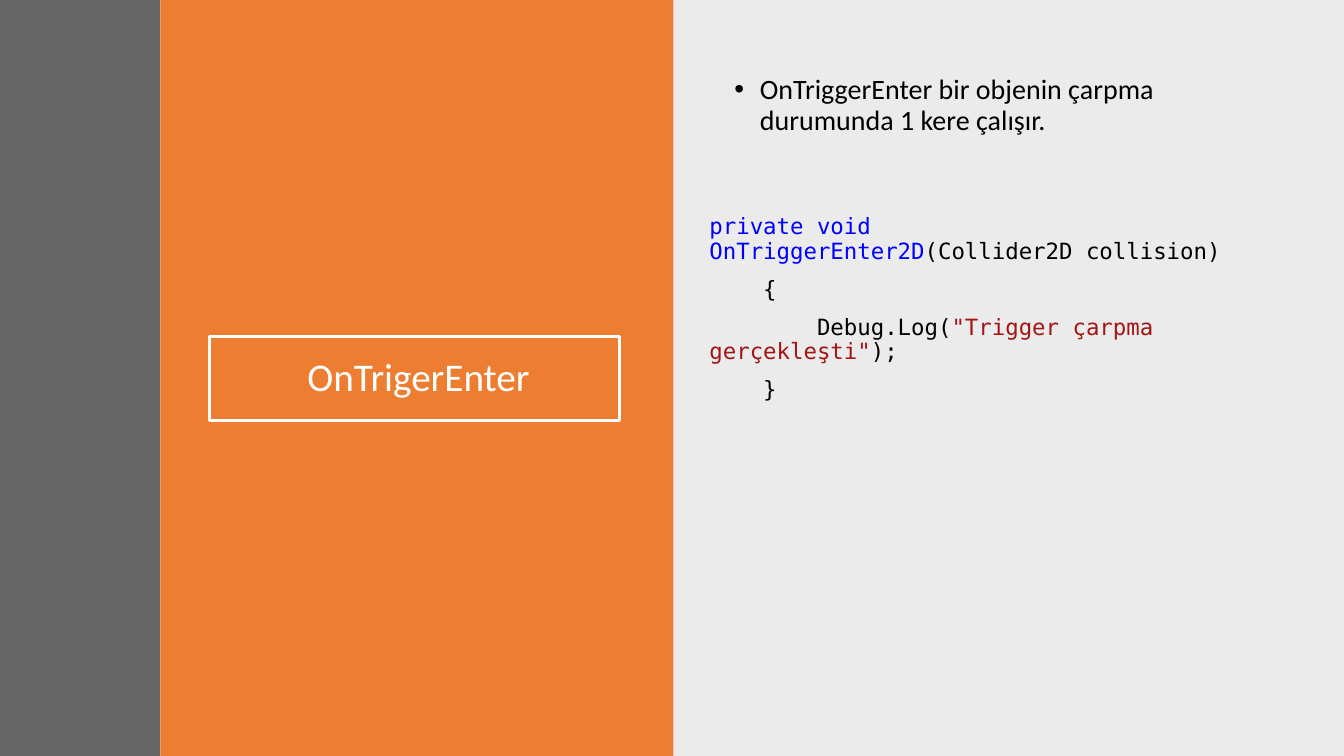
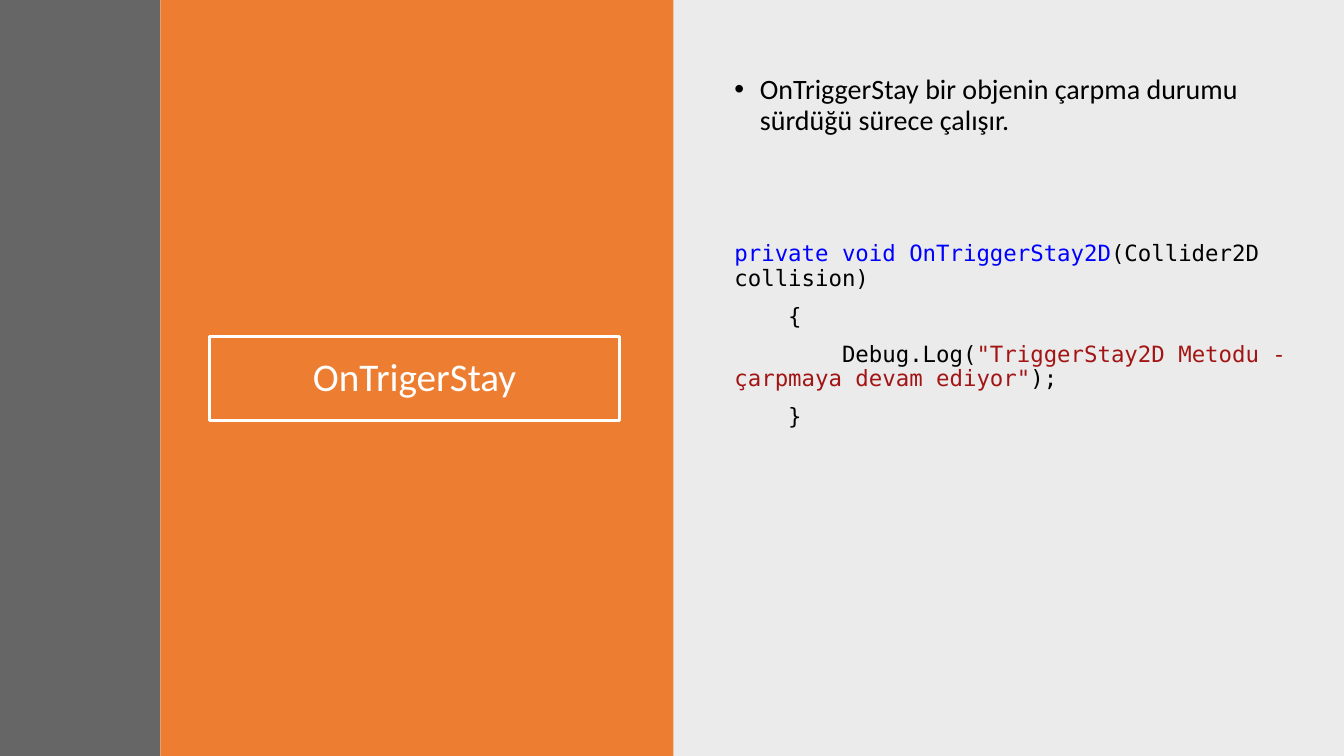
from lxml.etree import SubElement
from pptx import Presentation
from pptx.dml.color import RGBColor
from pptx.enum.shapes import MSO_SHAPE
from pptx.enum.text import MSO_ANCHOR, MSO_AUTO_SIZE, PP_ALIGN
from pptx.oxml.ns import qn
from pptx.util import Cm, Pt

WIDE, HIGH = 33.87, 19.05
HALF = 16.93
SIDE = 4.04
INK = {
    "white": "FFFFFF", "black": "000000", "orange": "ED7D31",
    "gray": "404040", "blue": "0000FF", "red": "A31515",
}
SANS, MONO = "Calibri", "DejaVu Sans Mono"

# Wording and code box (left, top, width, height in cm) of each slide
PAGES = [
    {
        "title": "OnTrigerEnter", "pad": 0.45,
        "note": "OnTriggerEnter bir objenin çarpma durumunda 1 kere çalışır.",
        "name": "OnTriggerEnter2D", "log": "Trigger çarpma gerçekleşti",
        "box": (17.63, 5.31, 14.05, 7.09),
    },
    {
        "title": "OnTrigerStay", "pad": 0.25,
        "note": "OnTriggerStay bir objenin çarpma durumu sürdüğü sürece çalışır.",
        "name": "OnTriggerStay2D", "log": "TriggerStay2D Metodu - çarpmaya devam ediyor",
        "box": (18.26, 5.99, 14.91, 12.12),
    },
]


def tint(name):
    return RGBColor.from_string(INK[name])


def bullet(para):
    props = para._p.get_or_add_pPr()
    props.set("marL", str(Cm(0.64)))
    props.set("indent", str(-Cm(0.64)))
    SubElement(props, qn("a:buFont"), typeface="Arial")
    SubElement(props, qn("a:buChar"), char="•")


def write(frame, lines, size=20, font=SANS, align=PP_ALIGN.LEFT, dot=False):
    """Fill a frame; each line is a list of (text, colour) runs."""
    frame.word_wrap = True
    frame.auto_size = MSO_AUTO_SIZE.NONE
    for i, line in enumerate(lines):
        para = frame.add_paragraph() if i else frame.paragraphs[0]
        para.alignment = align
        para.line_spacing = 0.9
        para.space_before = Pt(10 if i else 0)
        if dot:
            bullet(para)
        for text, color in line:
            run = para.add_run()
            run.text = text
            run.font.size = Pt(size)
            run.font.name = font
            run.font.color.rgb = tint(color)


def band(slide, left, width, color, alpha=100):
    shape = slide.shapes.add_shape(
        MSO_SHAPE.RECTANGLE, Cm(left), 0, Cm(width), Cm(HIGH))
    shape.shadow.inherit = False
    shape.line.fill.background()
    shape.fill.solid()
    shape.fill.fore_color.rgb = tint(color)
    if alpha < 100:
        fill = shape._element.spPr.find(qn("a:solidFill"))
        SubElement(fill[0], qn("a:alpha"), val=str(alpha * 1000))


def head(slide, text, pad):
    title = slide.shapes.title
    title.left, title.top = Cm(5.28), Cm(8.48)
    title.width, title.height = Cm(10.34), Cm(2.11)
    title.line.color.rgb = tint("white")
    title.line.width = Pt(2)
    frame = title.text_frame
    frame.vertical_anchor = MSO_ANCHOR.MIDDLE
    frame.margin_left = Cm(pad)
    write(frame, [[(text, "white")]], size=28, align=PP_ALIGN.CENTER)
    # Bring the title in front of the bands
    slide.shapes._spTree.append(title._element)


def body(slide, box, lines, **style):
    shape = slide.shapes.add_textbox(*map(Cm, box))
    write(shape.text_frame, lines, **style)


def code(name, log):
    return [
        [(f"private void {name}", "blue"), ("(Collider2D collision)", "black")],
        [("    {", "black")],
        [("        Debug.Log(", "black"), (f'"{log}"', "red"), (");", "black")],
        [("    }", "black")],
    ]


def build(deck, page):
    slide = deck.slides.add_slide(deck.slide_layouts[5])
    # Background bands
    band(slide, HALF, WIDE - HALF, "black", alpha=8)
    band(slide, SIDE, 12.93, "orange")
    band(slide, 0, SIDE, "gray", alpha=80)
    # Title, note and code
    head(slide, page["title"], page["pad"])
    body(slide, (18.26, 1.78, 14.05, 7.09), [[(page["note"], "black")]], dot=True)
    body(slide, page["box"], code(page["name"], page["log"]), size=16, font=MONO)


def main():
    deck = Presentation()
    deck.slide_width, deck.slide_height = Cm(WIDE), Cm(HIGH)
    for page in PAGES:
        build(deck, page)
    deck.save("out.pptx")


if __name__ == "__main__":
    main()
